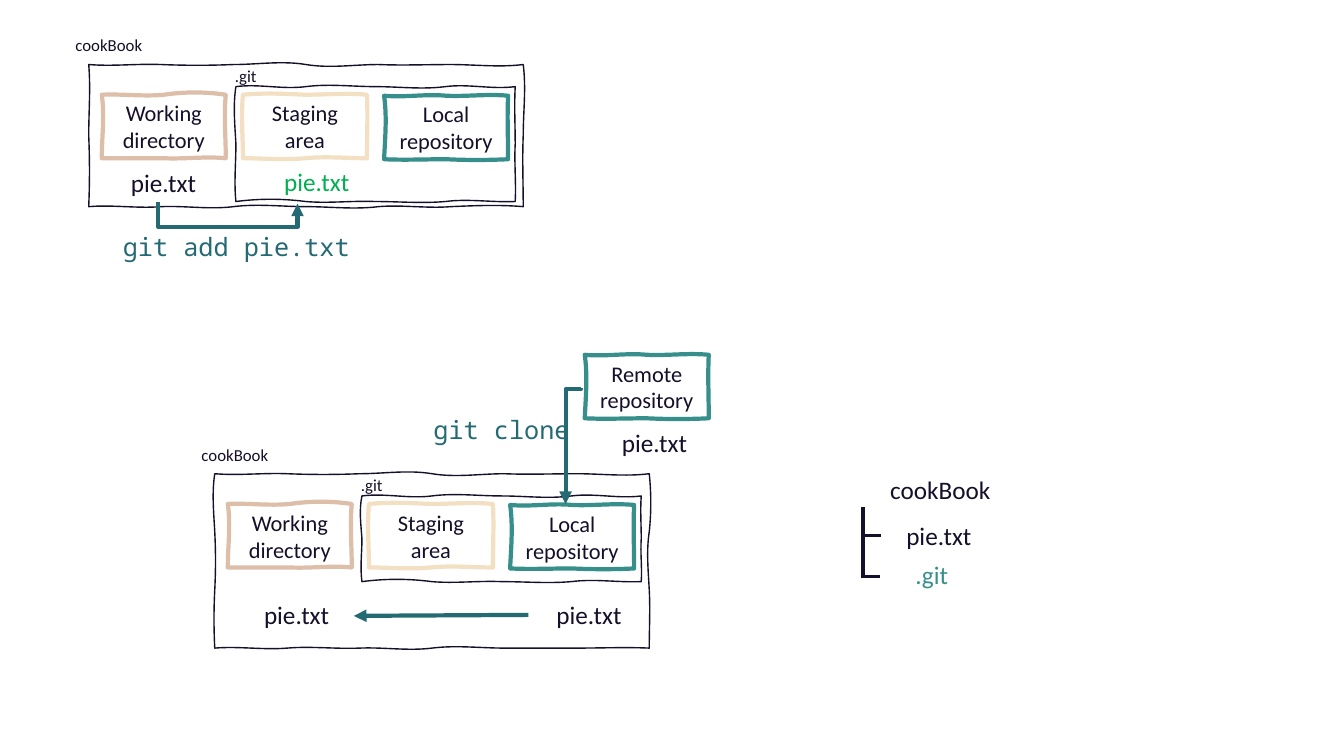
from lxml import etree
from pptx import Presentation
from pptx.dml.color import RGBColor
from pptx.enum.shapes import MSO_CONNECTOR
from pptx.enum.text import MSO_ANCHOR, MSO_AUTO_SIZE, PP_ALIGN
from pptx.oxml.ns import qn
from pptx.util import Inches, Pt

STRAIGHT, ELBOW = MSO_CONNECTOR.STRAIGHT, MSO_CONNECTOR.ELBOW
MIDDLE, CENTER, LEFT = MSO_ANCHOR.MIDDLE, PP_ALIGN.CENTER, PP_ALIGN.LEFT
GROW = MSO_AUTO_SIZE.SHAPE_TO_FIT_TEXT

INK = RGBColor(0x16, 0x0F, 0x29)
SAND = RGBColor(0xDD, 0xBE, 0xA8)
CREAM = RGBColor(0xF3, 0xDF, 0xC1)
TEAL = RGBColor(0x36, 0x8F, 0x8B)
DEEP_TEAL = RGBColor(0x24, 0x6A, 0x73)
GREEN = RGBColor(0x00, 0xB0, 0x50)

SANS, MONO = "Calibri", "Noto Sans Mono"
AREA_WIDTH, AREA_HEIGHT = 1.23, 0.63

# Hand-drawn outlines: top, right, bottom and left sides, clockwise.
# Each curve of a side has two handles, off the side by hundredths of an inch.
WORKING = ([(-1, 2), (-3, -3)], [(-2, 0)], [(-2, 1), (0, 0)], [(0, 3)])
STAGING = ([(-2, -1), (0, -2)], [(1, 0)], [(0, -2), (2, 0)], [(0, -2)])
REPOSITORY = ([(2, -2), (1, -2)], [(-1, 0)], [(1, 1), (0, 1)], [(1, 3)])
GIT_FOLDER = ([(-3, 3), (-3, 0), (0, 3), (-3, 3)], [(-1, 0), (-1, 1)],
              [(1, -3), (2, 0), (-1, 2), (-3, -3)], [(-2, 0), (-1, -3)])
FOLDER_TOP = [(2, -1), (1, 1), (0, -4), (4, 0), (1, 0), (0, 3)]
SHORT_FOLDER = (FOLDER_TOP, [(3, 0), (-1, 0)],
                [(-2, -1), (2, -2), (3, 0), (0, -3), (3, -1), (2, -2)],
                [(1, 1), (0, 2)])
TALL_FOLDER = (FOLDER_TOP, [(2, 2), (-3, -1), (1, 0)],
               [(-1, 0), (0, 0), (0, -3), (3, -1), (1, -2), (2, -2)],
               [(-1, -1), (1, 1), (-1, -3)])


def side_curves(start, end, curves):
    """Give two handles and an end for each curve, handles at its thirds."""
    horizontal = start[1] == end[1]
    for index, handles in enumerate(curves):
        points = []
        for third, off in zip((1, 2, 3), (*handles, 0)):
            along = (index + third / 3) / len(curves)
            x = start[0] + (end[0] - start[0]) * along
            y = start[1] + (end[1] - start[1]) * along
            off /= 100
            points.append((x, y + off) if horizontal else (x + off, y))
        yield points


def add_sketch(page, left, top, width, height, outline, color, weight):
    corners = [(0, 0), (width, 0), (width, height), (0, height)]
    curves = []
    for index, side in enumerate(outline):
        curves += side_curves(corners[index], corners[(index + 1) % 4], side)
    builder = page.shapes.build_freeform(Inches(left), Inches(top))
    builder.add_line_segments([(Inches(left + x), Inches(top + y))
                               for *_, (x, y) in curves])
    shape = builder.convert_to_shape()

    # Bend each straight segment into its curve
    for segment, points in zip(list(shape._element.iter(qn("a:lnTo"))), curves):
        bend = etree.Element(qn("a:cubicBezTo"))
        for x, y in points:
            etree.SubElement(bend, qn("a:pt"), x=str(Inches(x)), y=str(Inches(y)))
        segment.getparent().replace(segment, bend)

    shape.shadow.inherit = False
    shape.fill.background()
    shape.line.color.rgb = color
    shape.line.width = Pt(weight)
    return shape


def write(frame, text, size, color, font, align):
    para = frame.paragraphs[0]
    para.alignment = align
    span = para.add_run()
    span.text = text
    span.font.size = Pt(size)
    span.font.name = font
    span.font.color.rgb = color


def add_area(page, left, top, text, outline, color):
    area = add_sketch(page, left, top, AREA_WIDTH, AREA_HEIGHT, outline, color, 3)
    area.text_frame.word_wrap = True
    area.text_frame.vertical_anchor = MIDDLE
    write(area.text_frame, text, 16, INK, SANS, CENTER)


def add_label(page, left, top, width, text, size=18, color=INK, font=SANS, wrap=True):
    height = 0.4 if size == 18 else 0.3
    box = page.shapes.add_textbox(Inches(left), Inches(top), Inches(width), Inches(height))
    box.text_frame.word_wrap = wrap
    box.text_frame.auto_size = GROW
    write(box.text_frame, text, size, color, font, LEFT)


def add_line(page, kind, start, end, color, weight, arrow=False):
    line = page.shapes.add_connector(kind, *(Inches(value) for value in (*start, *end)))
    line.line.color.rgb = color
    line.line.width = Pt(weight)
    properties = line._element.spPr
    if arrow:
        etree.SubElement(properties.find(qn("a:ln")), qn("a:tailEnd"), type="triangle")
    etree.SubElement(properties, qn("a:effectLst"))
    return line


def add_bent_arrow(page, left, top, width, height, rotation, bend, flip=False):
    """Elbow arrow turned by whole degrees; bend is a share of its width."""
    arrow = add_line(page, ELBOW, (left, top), (left + width, top + height),
                     DEEP_TEAL, 3, arrow=True)
    properties = arrow._element.spPr
    frame = properties.find(qn("a:xfrm"))
    frame.set("rot", str(rotation * 60000))
    if flip:
        frame.set("flipH", "1")
    guides = properties.find(qn("a:prstGeom")).find(qn("a:avLst"))
    etree.SubElement(guides, qn("a:gd"), name="adj1", fmla=f"val {round(bend * 100000)}")


def add_cookbook(page, left, top, outline, height, git_height):
    """Project folder with its three areas; left and top place the folder."""
    add_area(page, left + 0.13, top + 0.3, "Working directory", WORKING, SAND)
    add_area(page, left + 1.53, top + 0.3, "Staging area", STAGING, CREAM)
    add_area(page, left + 2.93, top + 0.31, "Local repository", REPOSITORY, TEAL)
    add_sketch(page, left, top, 4.31, height, outline, INK, 1)
    add_label(page, left - 0.23, top - 0.34, 0.88, "cookBook", 12, wrap=False)
    add_sketch(page, left + 1.46, top + 0.22, 2.77, git_height, GIT_FOLDER, INK, 1)
    add_label(page, left + 1.35, top - 0.04, 0.42, ".git", 12, wrap=False)


def main():
    deck = Presentation()
    deck.slide_width, deck.slide_height = Inches(13.33), Inches(7.5)
    page = deck.slides.add_slide(deck.slide_layouts[6])

    # Adding a file to the staging area
    add_cookbook(page, 0.88, 0.64, SHORT_FOLDER, 1.41, 1.14)
    add_label(page, 1.2, 1.61, 0.99, "pie.txt")
    add_label(page, 1.12, 2.25, 2.54, "git add pie.txt", color=DEEP_TEAL, font=MONO)
    add_bent_arrow(page, 2.25, 1.32, 0.02, 1.38, 270, 12.5, flip=True)
    add_label(page, 2.72, 1.6, 0.99, "pie.txt", color=GREEN)

    # Cloning the remote repository
    add_cookbook(page, 2.13, 4.7, TALL_FOLDER, 1.73, 0.85)
    for left in (2.52, 5.42):
        add_label(page, left, 5.9, 0.99, "pie.txt")
    add_area(page, 5.8, 3.52, "Remote repository", REPOSITORY, TEAL)
    add_label(page, 6.07, 4.19, 0.99, "pie.txt")
    add_label(page, 4.2, 4.06, 1.89, "git clone", color=DEEP_TEAL, font=MONO)
    add_bent_arrow(page, 5.11, 4.35, 1.15, 0.15, 90, 0.01)
    add_line(page, STRAIGHT, (5.24, 6.1), (3.51, 6.11), DEEP_TEAL, 3, arrow=True)

    # Folder tree
    add_line(page, STRAIGHT, (8.56, 5.03), (8.56, 5.72), INK, 2.25)
    add_label(page, 8.73, 4.66, 1.62, "cookBook")
    add_line(page, STRAIGHT, (8.73, 5.72), (8.54, 5.72), INK, 2.25)
    add_label(page, 8.98, 5.5, 1.29, ".git", color=TEAL)
    add_label(page, 8.89, 5.11, 1.29, "pie.txt")
    add_line(page, STRAIGHT, (8.74, 5.31), (8.55, 5.31), INK, 2.25)

    deck.save("out.pptx")


if __name__ == "__main__":
    main()
